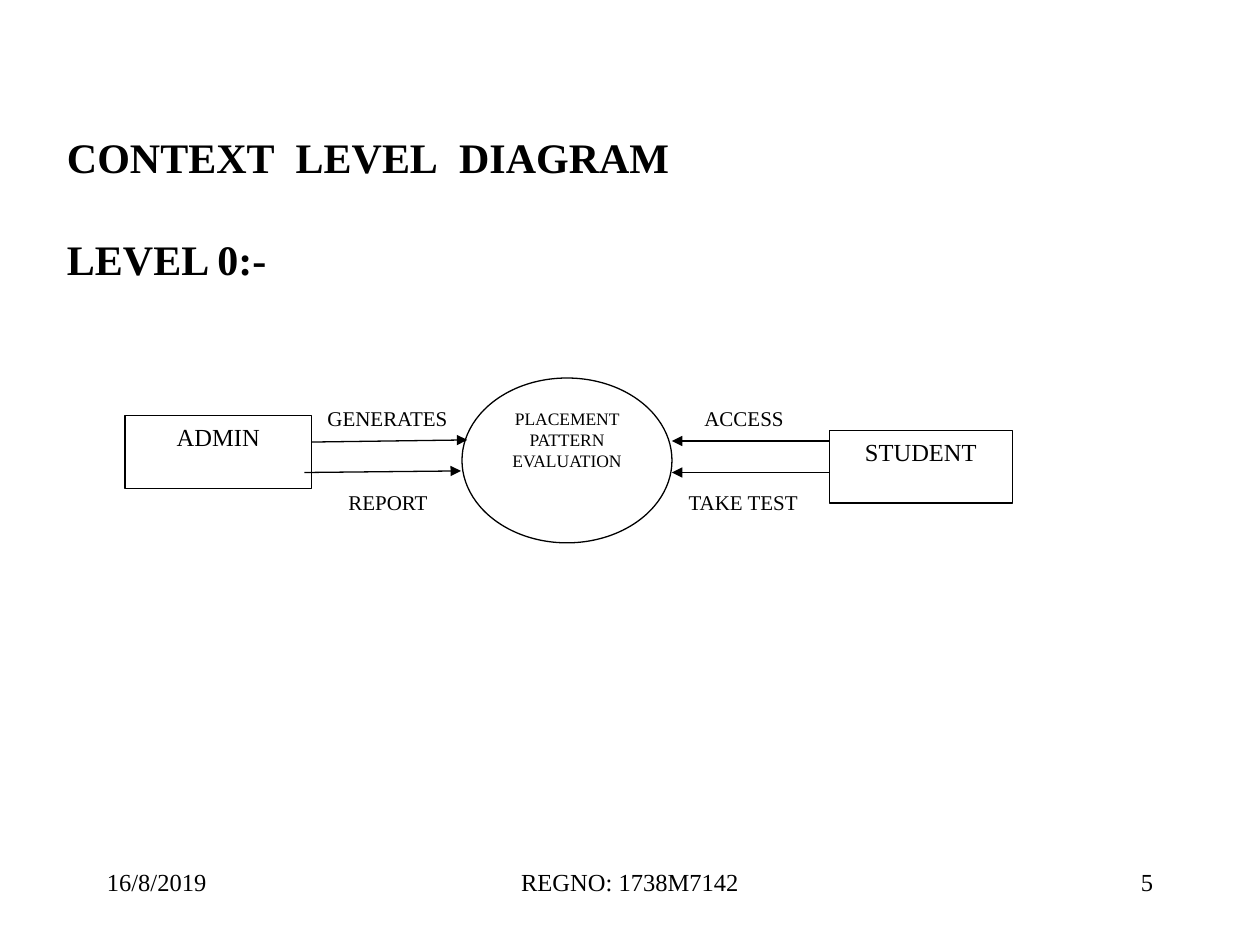
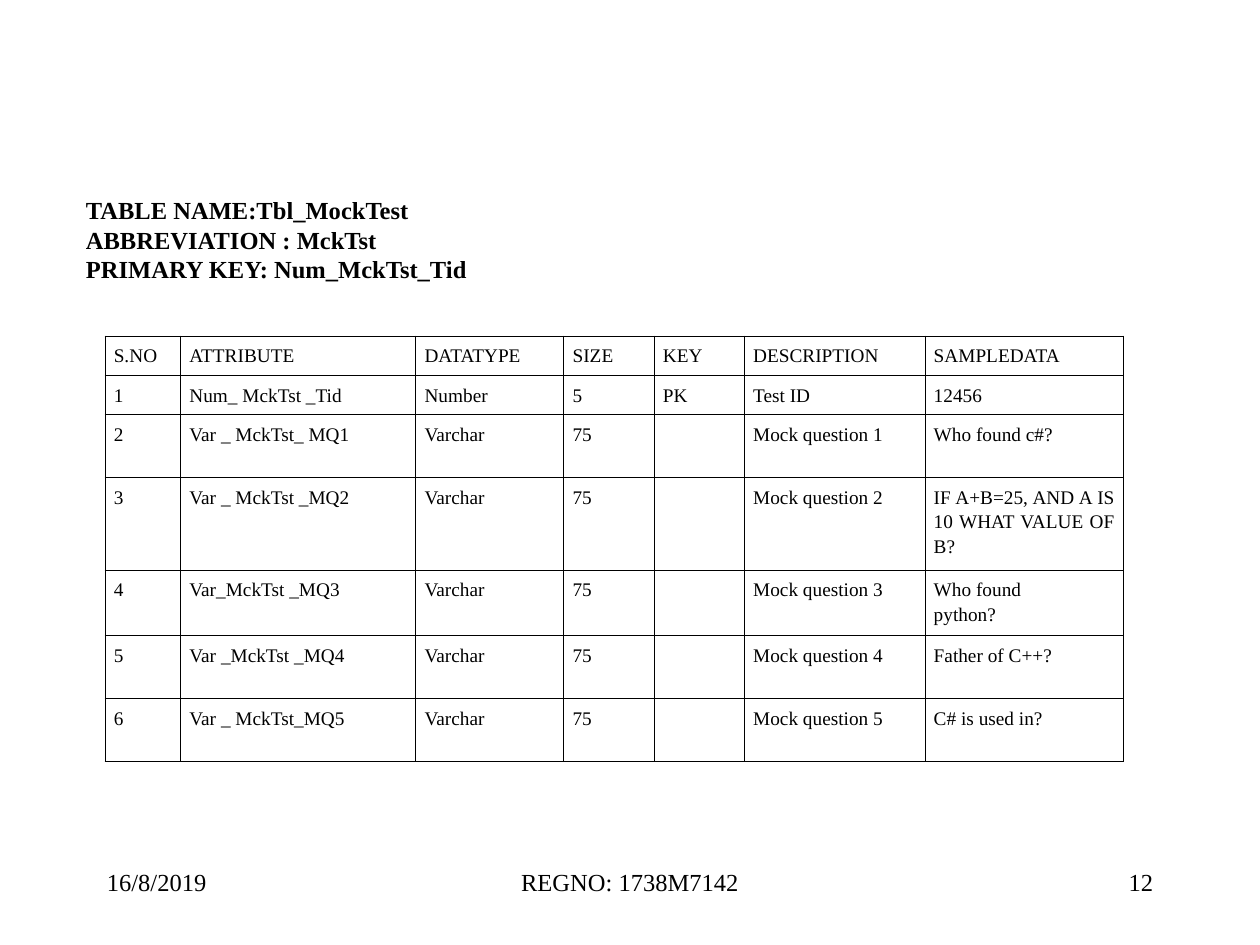
"""Build the context diagram and the mock test table slides."""
from lxml.etree import SubElement
from pptx import Presentation
from pptx.dml.color import RGBColor
from pptx.enum.shapes import MSO_CONNECTOR, MSO_SHAPE
from pptx.enum.text import MSO_ANCHOR, PP_ALIGN
from pptx.oxml import parse_xml
from pptx.oxml.ns import nsdecls, qn
from pptx.util import Inches, Pt

THEME = {
    "font": "Times New Roman",
    "ink": RGBColor.from_string("000000"),
    "paper": RGBColor.from_string("FFFFFF"),
    "heading": 24, "body": 14, "label": 12, "cell": 11, "process": 10,
    "outline": 0.75, "border": 0.45,
    "heading_gap": 29.5, "wide_space": 6, "cell_spacing": 1.15,
}
COLUMNS, ROWS = 120, 90
SLIDE_WIDTH, SLIDE_HEIGHT = Inches(10), Inches(7.5)

FOOTER_ROW, FOOTER_HEIGHT = 82, 6
FOOTERS = [
    ("16/8/2019", 9, 25, PP_ALIGN.LEFT),
    ("REGNO: 1738M7142", 41, 38, PP_ALIGN.CENTER),
    ("{number}", 86, 25, PP_ALIGN.RIGHT),
]

DIAGRAM_HEADING = ["CONTEXT LEVEL DIAGRAM", "LEVEL 0:-"]
NODES = [
    ("ADMIN", MSO_SHAPE.RECTANGLE, (11.9, 39.6, 17.8, 6.9), "body"),
    ("PLACEMENT PATTERN EVALUATION", MSO_SHAPE.OVAL, (44, 36, 20, 15.7), "process"),
    ("STUDENT", MSO_SHAPE.RECTANGLE, (79, 41, 17.4, 6.9), "body"),
]
FLOWS = [
    ((29.7, 42.1), (44.5, 41.9)),
    ((79, 42), (64, 42)),
    ((29, 45), (43.9, 44.85)),
    ((79, 45), (64, 45)),
]
FLOW_LABELS = [
    ("GENERATES", 30, 38, 14),
    ("REPORT", 32, 46, 13),
    ("ACCESS", 65.9, 38, 10),
    ("TAKE TEST", 64.4, 46, 14.6),
]

TABLE_HEADING = [
    "TABLE NAME:Tbl_MockTest",
    "ABBREVIATION : MckTst",
    "PRIMARY KEY: Num_MckTst_Tid",
]
TABLE_ORIGIN = (10, 32)
COLUMN_WIDTHS = [7.2, 22.4, 14.1, 8.6, 8.6, 17.2, 18.9]
ROW_HEIGHTS = [3.75, 3.75, 6, 8.8, 6.25, 6, 6]
QUESTIONS = [
    ("Var _ MckTst_ MQ1", "Who found c#?"),
    ("Var _ MckTst _MQ2", "IF A+B=25, AND A IS 10 WHAT VALUE OF B?"),
    ("Var_MckTst _MQ3", "Who found\npython?"),
    ("Var _MckTst _MQ4", "Father of C++?"),
    ("Var _ MckTst_MQ5", "C# is used in?"),
]
TABLE_ROWS = [
    ("S.NO", "ATTRIBUTE", "DATATYPE", "SIZE", "KEY", "DESCRIPTION", "SAMPLEDATA"),
    ("1", "Num_ MckTst _Tid", "Number", "5", "PK", "Test ID", "12456"),
] + [
    (str(number + 1), attribute, "Varchar", "75", "", f"Mock question {number}", sample)
    for number, (attribute, sample) in enumerate(QUESTIONS, 1)
]


def across(columns):
    return round(SLIDE_WIDTH * columns / COLUMNS)


def down(rows):
    return round(SLIDE_HEIGHT * rows / ROWS)


def place(left, top, width, height):
    return across(left), down(top), across(width), down(height)


def set_values(target, values):
    for name, value in values.items():
        setattr(target, name, value)


def add_run(paragraph, text, size, bold=False):
    run = paragraph.add_run()
    run.text = text
    set_values(run.font, {"name": THEME["font"], "size": Pt(THEME[size]), "bold": bold})
    run.font.color.rgb = THEME["ink"]
    return run


def write(frame, lines, size, bold=False, **paragraph_format):
    for index, line in enumerate(lines):
        paragraph = frame.add_paragraph() if index else frame.paragraphs[0]
        set_values(paragraph, paragraph_format)
        if line:
            add_run(paragraph, line, size, bold)


def add_text(slide, box, lines, size, bold=False, alignment=PP_ALIGN.LEFT):
    frame = slide.shapes.add_textbox(*place(*box)).text_frame
    frame.word_wrap = True
    write(frame, lines, size, bold, alignment=alignment)
    return frame


def add_slide(presentation, number):
    slide = presentation.slides.add_slide(presentation.slide_layouts[6])
    for text, left, width, alignment in FOOTERS:
        box = (left, FOOTER_ROW, width, FOOTER_HEIGHT)
        add_text(slide, box, [text.format(number=number)], "body", alignment=alignment)
    return slide


def add_diagram_heading(slide):
    title, level = DIAGRAM_HEADING
    frame = add_text(slide, (5.2, 12, 60, 15.6), ["", level], "heading", bold=True)
    frame.vertical_anchor = MSO_ANCHOR.MIDDLE
    title_paragraph, level_paragraph = frame.paragraphs
    level_paragraph.space_before = Pt(THEME["heading_gap"])
    for index, word in enumerate(title.split()):
        if index:
            space = add_run(title_paragraph, " ", "heading", bold=True)
            space.font._element.set("spc", str(THEME["wide_space"] * 100))
        add_run(title_paragraph, word, "heading", bold=True)


def set_outline(line):
    line.color.rgb = THEME["ink"]
    line.width = Pt(THEME["outline"])


def add_node(slide, text, kind, box, size):
    shape = slide.shapes.add_shape(kind, *place(*box))
    shape.shadow.inherit = False
    shape.fill.solid()
    shape.fill.fore_color.rgb = THEME["paper"]
    set_outline(shape.line)
    set_values(shape.text_frame, {"word_wrap": True, "vertical_anchor": MSO_ANCHOR.TOP})
    write(shape.text_frame, [text], size, alignment=PP_ALIGN.CENTER)


def add_flow(slide, start, end):
    points = [move(value) for point in (start, end) for move, value in zip((across, down), point)]
    connector = slide.shapes.add_connector(MSO_CONNECTOR.STRAIGHT, *points)
    set_outline(connector.line)
    SubElement(connector.line._get_or_add_ln(), qn("a:tailEnd"), type="triangle")
    SubElement(connector._element.spPr, qn("a:effectLst"))


def add_borders(cell):
    properties = cell._tc.get_or_add_tcPr()
    for side in ("lnL", "lnR", "lnT", "lnB"):
        properties.append(parse_xml(
            f'<a:{side} {nsdecls("a")} w="{Pt(THEME["border"])}"><a:solidFill>'
            f'<a:srgbClr val="{THEME["ink"]}"/></a:solidFill></a:{side}>'))


def add_attribute_table(slide):
    box = place(*TABLE_ORIGIN, sum(COLUMN_WIDTHS), sum(ROW_HEIGHTS))
    table = slide.shapes.add_table(len(TABLE_ROWS), len(COLUMN_WIDTHS), *box).table
    set_values(table, {"first_row": False, "horz_banding": False})
    for column, width in zip(table.columns, COLUMN_WIDTHS):
        column.width = across(width)
    for row, height, texts in zip(table.rows, ROW_HEIGHTS, TABLE_ROWS):
        row.height = down(height)
        for cell, text in zip(row.cells, texts):
            set_values(cell, {"margin_left": Inches(0.07), "margin_right": Inches(0.07)})
            add_borders(cell)
            cell.fill.background()
            write(cell.text_frame, text.split("\n"), "cell",
                  alignment=PP_ALIGN.JUSTIFY, line_spacing=THEME["cell_spacing"])


def main():
    presentation = Presentation()
    set_values(presentation, {"slide_width": SLIDE_WIDTH, "slide_height": SLIDE_HEIGHT})

    diagram = add_slide(presentation, 5)
    add_diagram_heading(diagram)
    for node in NODES:
        add_node(diagram, *node)
    for flow in FLOWS:
        add_flow(diagram, *flow)
    for text, left, top, width in FLOW_LABELS:
        add_text(diagram, (left, top, width, 3.6), [text], "label")

    attributes = add_slide(presentation, 12)
    add_text(attributes, (7, 18, 96, 12.5), TABLE_HEADING, "body", bold=True)
    add_attribute_table(attributes)

    presentation.save("out.pptx")


if __name__ == "__main__":
    main()
